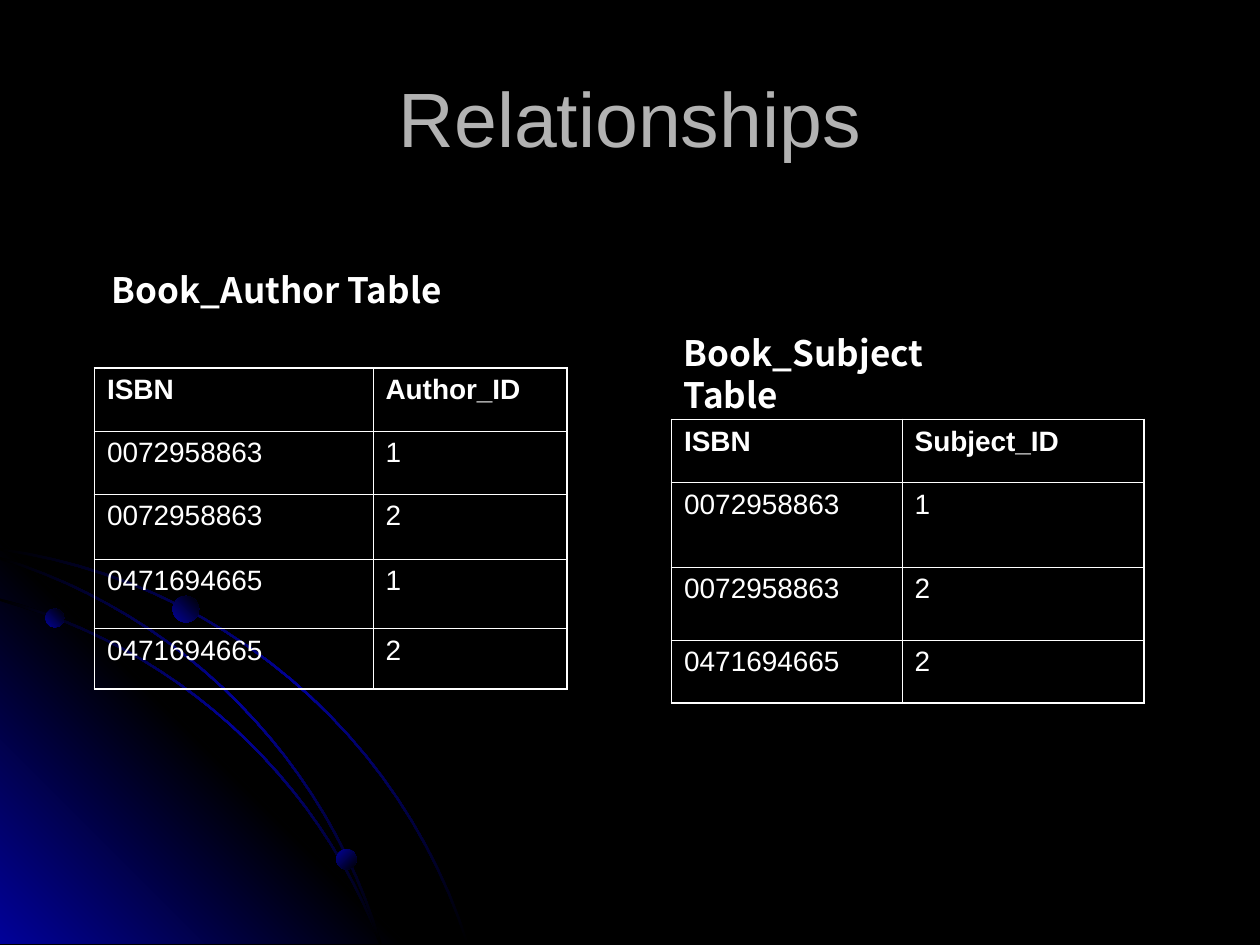
import math

from lxml import etree
from pptx import Presentation
from pptx import util as u
from pptx.dml.color import RGBColor
from pptx.enum import shapes, text
from pptx.oxml.ns import qn

COLORS = {"background": "000000", "glow": "010199", "title": "B2B2B2", "text": "FFFFFF"}
STREAK = ["background", "glow", "background"]
BEAM = ["glow", "background", "glow"]
PLANET = ["glow", "background"]
DOWN_RIGHT, UP_RIGHT = 45, 315          # clockwise gradient angles
THIN, THICK = 0.45, 1.08                # table lines, in points
FLOOR = 7.49                            # where the orbits and the glow end
ORBIT_WIDTH, ORBIT_STEPS = 0.02, 24

# Orbits: top at the left edge, right end on the floor, bulge above the chord
ORBITS = [(4.35, 3.72, 0.70), (4.75, 3.03, 0.49), (4.42, 3.03, 0.54)]
# Planets: left, top, diameter, gradient angle
PLANETS = [(0.36, 4.83, 0.15, UP_RIGHT), (2.67, 6.74, 0.16, DOWN_RIGHT),
           (1.37, 4.73, 0.21, UP_RIGHT)]

BOOK_A, BOOK_B = "0072958863", "0471694665"
LINK_TABLES = [
    {"caption": "Book_Author Table", "caption_at": (0.79, 2.08), "table_at": (0.75, 2.92),
     "widths": [2.21, 1.54], "heights": [0.5, 0.5, 0.52, 0.55, 0.48],
     "records": [("ISBN", "Author_ID"), (BOOK_A, "1"), (BOOK_A, "2"),
                 (BOOK_B, "1"), (BOOK_B, "2")]},
    {"caption": "Book_Subject Table", "caption_at": (5.33, 2.58), "table_at": (5.33, 3.33),
     "widths": [1.83, 1.92], "heights": [0.5, 0.67, 0.58, 0.5],
     "records": [("ISBN", "Subject_ID"), (BOOK_A, "1"), (BOOK_A, "2"), (BOOK_B, "2")]},
]


def rgb(name):
    return RGBColor.from_string(COLORS[name])


def write(frame, words, size, color="text", font="Arial", bold=False,
          align=text.PP_ALIGN.LEFT, spacing=None):
    frame.text = words
    paragraph = frame.paragraphs[0]
    paragraph.alignment = align
    paragraph.line_spacing = spacing
    style = paragraph.runs[0].font
    style.size, style.name, style.bold = u.Pt(size), font, bold
    style.color.rgb = rgb(color)


def apply_gradient(shape, names, angle):
    """Spread the named colours evenly along a clockwise angle."""
    shape.shadow.inherit = False
    shape.line.fill.background()
    shape.fill.gradient()
    shape.fill.gradient_angle = 360 - angle
    stops = shape.element.spPr.find(qn("a:gradFill")).find(qn("a:gsLst"))
    for stop in list(stops):
        stops.remove(stop)
    for i, name in enumerate(names):
        stop = etree.SubElement(stops, qn("a:gs"), pos=str(100000 * i // (len(names) - 1)))
        etree.SubElement(stop, qn("a:srgbClr"), val=COLORS[name])


def arc_points(start, end, bulge):
    """Points on the circular arc that rises by bulge above the chord."""
    dx, dy = end[0] - start[0], end[1] - start[1]
    chord = math.hypot(dx, dy)
    half_angle = 2 * math.atan(2 * bulge / chord)
    radius = chord / (2 * math.sin(half_angle))
    points = []
    for step in range(ORBIT_STEPS + 1):
        angle = half_angle * (2 * step / ORBIT_STEPS - 1)
        along = (chord / 2 + radius * math.sin(angle)) / chord
        above = radius * (math.cos(angle) - math.cos(half_angle)) / chord
        points.append((start[0] + along * dx + above * dy,
                       start[1] + along * dy - above * dx))
    return points


def add_outline(slide, points, names, angle):
    # Builder coordinates become whole numbers, so count in thousandths of an inch
    grid = [(round(x * 1000), round(y * 1000)) for x, y in points]
    builder = slide.shapes.build_freeform(*grid[0], scale=u.Inches(1) / 1000)
    builder.add_line_segments(grid[1:], close=True)
    apply_gradient(builder.convert_to_shape(), names, angle)


def add_orbit(slide, top, right, bulge):
    outer = arc_points((0, top), (right, FLOOR), bulge)
    inner = arc_points((0, top + ORBIT_WIDTH), (right - ORBIT_WIDTH, FLOOR), bulge)
    add_outline(slide, outer + inner[::-1], STREAK, DOWN_RIGHT)


def add_corner_glow(slide, size):
    corner = [(size, FLOOR), (0, FLOOR), (0, FLOOR - size)]
    add_outline(slide, corner, BEAM, UP_RIGHT)


def add_planet(slide, left, top, diameter, angle):
    planet = slide.shapes.add_shape(shapes.MSO_SHAPE.OVAL, u.Inches(left), u.Inches(top),
                                    u.Inches(diameter), u.Inches(diameter))
    apply_gradient(planet, PLANET, angle)


def add_title(slide, words):
    title = slide.shapes.title
    title.left, title.top = u.Inches(0.5), u.Inches(0.3)
    title.width, title.height = u.Inches(9), u.Inches(1.25)
    title.text_frame.vertical_anchor = text.MSO_ANCHOR.MIDDLE
    write(title.text_frame, words, 44, color="title", align=text.PP_ALIGN.CENTER)


def add_border(cell, side, width):
    line = etree.SubElement(cell._tc.get_or_add_tcPr(), qn("a:ln" + side),
                            w=str(u.Pt(width)))
    fill = etree.SubElement(line, qn("a:solidFill"))
    etree.SubElement(fill, qn("a:srgbClr"), val=COLORS["text"])


def add_records(slide, left, top, widths, heights, records):
    table = slide.shapes.add_table(
        len(heights), len(widths), u.Inches(left), u.Inches(top),
        u.Inches(sum(widths)), u.Inches(sum(heights))).table
    table.first_row = table.horz_banding = False
    for column, width in zip(table.columns, widths):
        column.width = u.Inches(width)
    for row, height in zip(table.rows, heights):
        row.height = u.Inches(height)
    last_row, last_column = len(heights) - 1, len(widths) - 1
    for r, record in enumerate(records):
        for c, value in enumerate(record):
            cell = table.cell(r, c)
            write(cell.text_frame, value, 16, bold=r == 0)
            # Heavier lines around the outside of the table
            outside = {"L": c == 0, "R": c == last_column,
                       "T": r == 0, "B": r == last_row}
            for side, is_edge in outside.items():
                add_border(cell, side, THICK if is_edge else THIN)
            cell.fill.background()


def add_caption(slide, left, top, words):
    frame = slide.shapes.add_textbox(u.Inches(left), u.Inches(top),
                                     u.Inches(2.87), u.Inches(0.44)).text_frame
    frame.word_wrap = True
    frame.auto_size = text.MSO_AUTO_SIZE.SHAPE_TO_FIT_TEXT
    write(frame, words, 20, font="Noto Sans CJK KR", bold=True, spacing=u.Pt(24))


def main():
    deck = Presentation()
    deck.slide_width, deck.slide_height = u.Inches(10), u.Inches(7.5)
    slide = deck.slides.add_slide(deck.slide_layouts[5])
    slide.background.fill.solid()
    slide.background.fill.fore_color.rgb = rgb("background")

    # Background decoration, the glow lying under the orbits
    add_corner_glow(slide, 3.22)
    for orbit in ORBITS:
        add_orbit(slide, *orbit)
    for planet in PLANETS:
        add_planet(slide, *planet)

    # Title and linking tables
    add_title(slide, "Relationships")
    for link in LINK_TABLES:
        add_records(slide, *link["table_at"], link["widths"], link["heights"],
                    link["records"])
    for link in LINK_TABLES:
        add_caption(slide, *link["caption_at"], link["caption"])

    deck.save("out.pptx")


if __name__ == "__main__":
    main()
